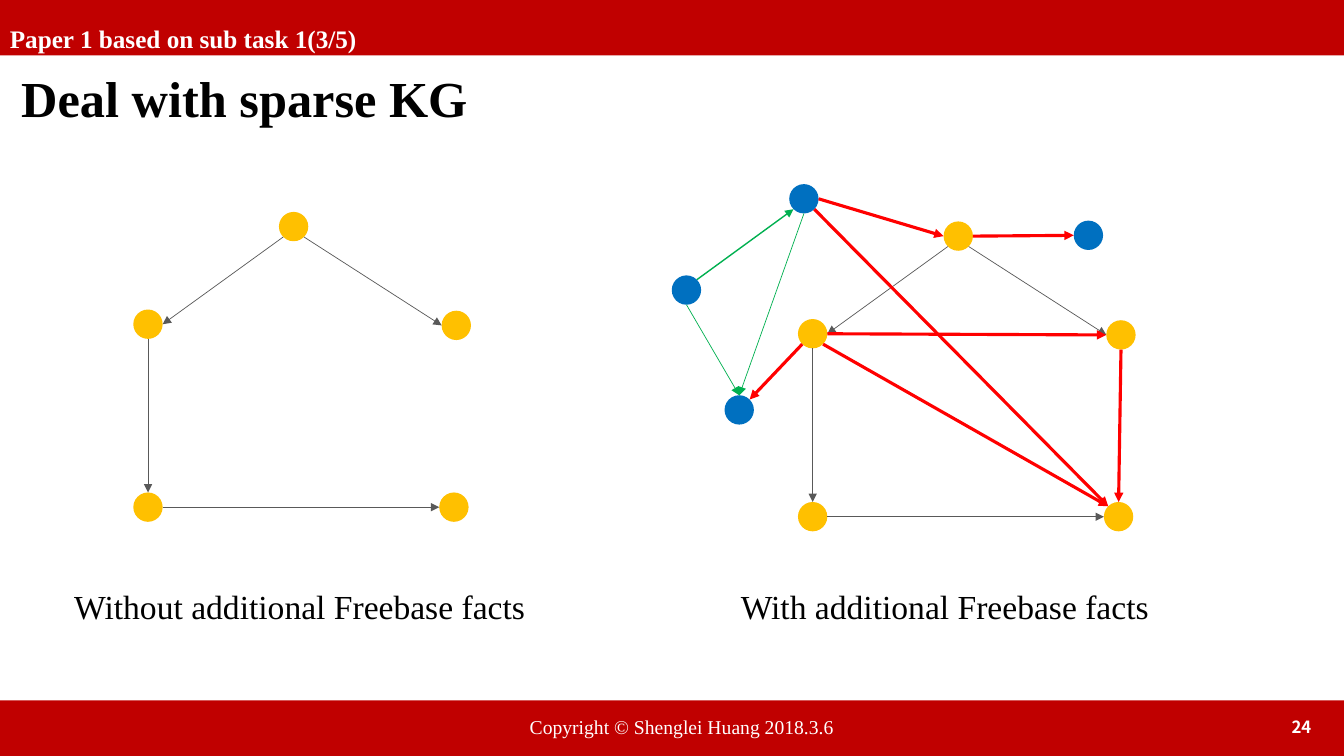
from lxml import etree
from pptx import Presentation
from pptx.dml.color import RGBColor
from pptx.enum.shapes import MSO_CONNECTOR, MSO_SHAPE
from pptx.enum.text import MSO_ANCHOR, MSO_AUTO_SIZE, PP_ALIGN
from pptx.oxml.ns import qn
from pptx.util import Cm, Pt

RECT, OVAL = MSO_SHAPE.RECTANGLE, MSO_SHAPE.OVAL
LINE = MSO_CONNECTOR.STRAIGHT
LEFT, RIGHT = PP_ALIGN.LEFT, PP_ALIGN.RIGHT
TOP, MIDDLE = MSO_ANCHOR.TOP, MSO_ANCHOR.MIDDLE
FIXED = MSO_AUTO_SIZE.NONE

SERIF, SANS = "Times New Roman", "Noto Sans CJK SC"
CRIMSON, WHITE, BLACK = "C00000", "FFFFFF", "000000"
GOLD, BLUE = "FFC000", "0070C0"
GRAY, RED, GREEN = "595959", "FF0000", "00B050"

WIDE, HIGH, BAR = 33.87, 19.05, 1.4
RADIUS = 0.37
DIAG = 0.71
SIDES = {
    "N": (0, -1), "S": (0, 1), "W": (-1, 0), "E": (1, 0),
    "NW": (-DIAG, -DIAG), "NE": (DIAG, -DIAG),
    "SW": (-DIAG, DIAG), "SE": (DIAG, DIAG),
}
SHIFT = (16.75, 0.24)

BASE = {
    "root": (7.4, 5.71),
    "left": (3.73, 8.17),
    "right": (11.5, 8.2),
    "start": (3.73, 12.78),
    "end": (11.44, 12.78),
}
EXTRA = {
    "peak": (20.26, 5.01),
    "low": (18.63, 10.33),
    "west": (17.3, 7.31),
    "east": (27.43, 5.93),
}
LINKS = [
    ("root", "SW", "left", "E"),
    ("root", "SE", "right", "W"),
    ("left", "S", "start", "N"),
    ("start", "E", "end", "W"),
]
FACTS = [
    ("left", "SE", "end", "NW", RED, 2.25),
    ("right", "S", "end", "N", RED, 2.25),
    ("left", "E", "right", "W", RED, 2.25),
    ("left", "SW", "low", "NE", RED, 2.25),
    ("west", "NE", "peak", "SW", GREEN, 1),
    ("peak", "E", "root", "W", RED, 2.25),
    ("root", "E", "east", "W", RED, 2.25),
    ("peak", "SE", "end", "NW", RED, 2.25),
    ("west", "S", "low", "N", GREEN, 0.5),
    ("peak", "S", "low", "N", GREEN, 0.5),
]


def color(code):
    return RGBColor.from_string(code)


def add_block(slide, kind, x, y, w, h, fill):
    block = slide.shapes.add_shape(kind, Cm(x), Cm(y), Cm(w), Cm(h))
    block.shadow.inherit = False
    block.fill.solid()
    block.fill.fore_color.rgb = color(fill)
    block.line.fill.background()


def style(shape, text, size, ink, bold=False, face=SERIF, align=LEFT):
    para = shape.text_frame.paragraphs[0]
    para.text = text
    para.alignment = align
    para.font.name = face
    para.font.size = Pt(size)
    para.font.bold = bold
    para.font.color.rgb = color(ink)
    return para


def add_text(slide, x, y, w, h, text, size, ink, **look):
    box = slide.shapes.add_textbox(Cm(x), Cm(y), Cm(w), Cm(h))
    box.text_frame.word_wrap = False
    return box, style(box, text, size, ink, **look)


def set_title(slide, text):
    title = slide.shapes.title
    title.left, title.top = Cm(0.28), Cm(1.57)
    title.width, title.height = Cm(18.62), Cm(1.8)
    frame = title.text_frame
    frame.auto_size = FIXED
    frame.vertical_anchor = TOP
    style(title, text, 36, BLACK, bold=True).line_spacing = 1.0


def add_nodes(slide, nodes, fill):
    for x, y in nodes.values():
        add_block(slide, OVAL, x - RADIUS, y - RADIUS,
                  2 * RADIUS, 2 * RADIUS, fill)


def rim(node, side):
    return [Cm(c + RADIUS * d) for c, d in zip(node, SIDES[side])]


def add_arrow(slide, nodes, tail, out, head, into, ink=GRAY, width=0.5):
    arrow = slide.shapes.add_connector(
        LINE, *rim(nodes[tail], out), *rim(nodes[head], into))
    arrow.line.color.rgb = color(ink)
    arrow.line.width = Pt(width)
    stroke = arrow.line._get_or_add_ln()
    etree.SubElement(stroke, qn("a:tailEnd"), type="triangle")
    etree.SubElement(arrow._element.spPr, qn("a:effectLst"))


def add_graph(slide, nodes):
    add_nodes(slide, nodes, GOLD)
    for link in LINKS:
        add_arrow(slide, nodes, *link)


def main():
    deck = Presentation()
    deck.slide_width, deck.slide_height = Cm(WIDE), Cm(HIGH)
    slide = deck.slides.add_slide(deck.slide_layouts[5])

    for y in (0, HIGH - BAR):
        add_block(slide, RECT, 0, y, WIDE, BAR, CRIMSON)
    add_text(slide, 13.1, 17.88, 8.36, 0.86,
             "Copyright © Shenglei Huang 2018.3.6", 14, WHITE)
    head = add_text(slide, 0, 0.08, 9.35, 1.42,
                    "Paper 1 based on sub task 1(3/5)", 18, WHITE, bold=True)[1]
    head.line_spacing = 1.5
    set_title(slide, "Deal with sparse KG")

    add_text(slide, 1.62, 14.63, 11.96, 1.27,
             "Without additional Freebase facts", 24, BLACK)
    add_graph(slide, BASE)

    add_text(slide, 18.42, 14.63, 10.9, 1.27,
             "With additional Freebase facts", 24, BLACK)
    moved = {name: (x + SHIFT[0], y + SHIFT[1])
             for name, (x, y) in BASE.items()}
    add_graph(slide, moved)
    add_nodes(slide, EXTRA, BLUE)
    for fact in FACTS:
        add_arrow(slide, {**moved, **EXTRA}, *fact)

    page = add_text(slide, 25.68, 17.81, 7.62, 1.02, "24", 12, WHITE,
                    bold=True, face=SANS, align=RIGHT)[0]
    page.text_frame.word_wrap = True
    page.text_frame.vertical_anchor = MIDDLE

    deck.save("out.pptx")


if __name__ == "__main__":
    main()
